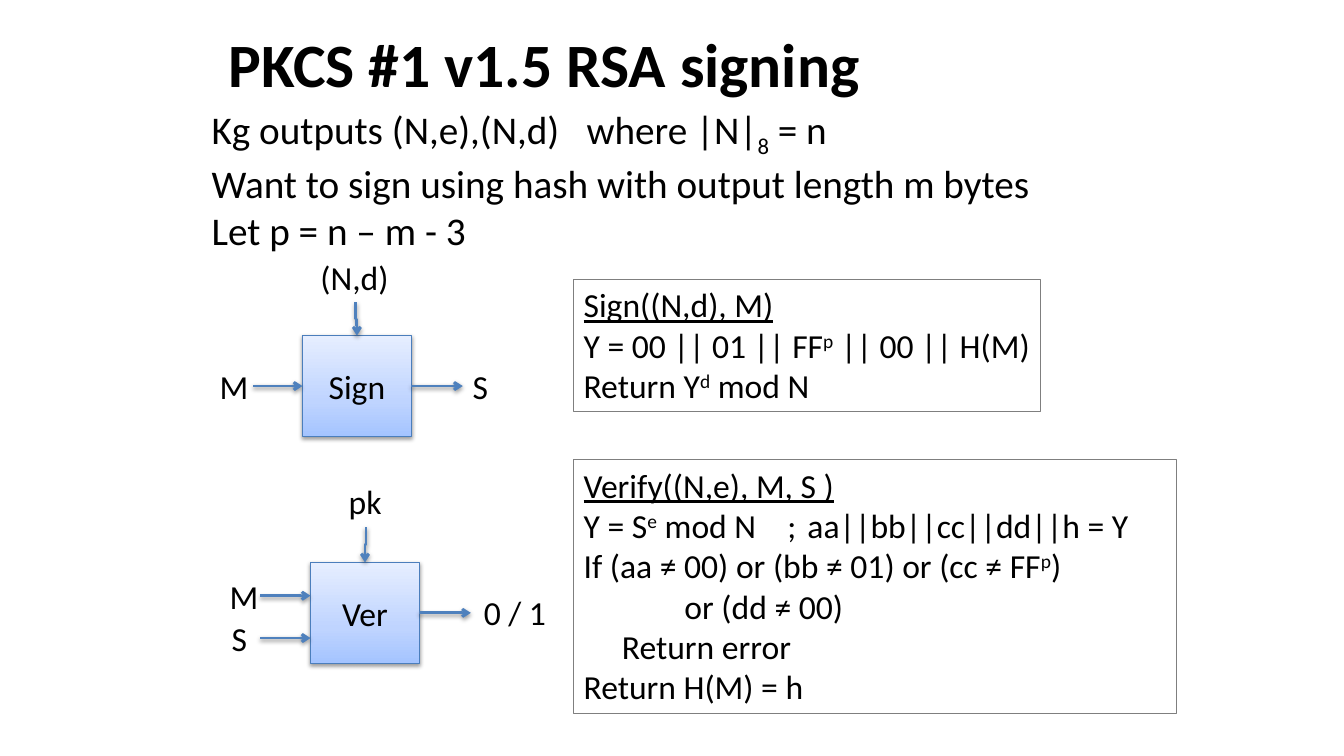
from pptx import Presentation
from pptx.dml.color import RGBColor
from pptx.enum.shapes import MSO_CONNECTOR, MSO_SHAPE
from pptx.enum.text import MSO_ANCHOR, MSO_AUTO_SIZE, PP_ALIGN
from pptx.oxml import parse_xml
from pptx.oxml.ns import nsdecls, qn
from pptx.util import Inches, Pt

STRAIGHT, ELBOW = MSO_CONNECTOR.STRAIGHT, MSO_CONNECTOR.ELBOW
RECT = MSO_SHAPE.RECTANGLE
LEFT, CENTER = PP_ALIGN.LEFT, PP_ALIGN.CENTER
TOP, MIDDLE = MSO_ANCHOR.TOP, MSO_ANCHOR.MIDDLE
GROW, FIXED = MSO_AUTO_SIZE.SHAPE_TO_FIT_TEXT, MSO_AUTO_SIZE.NONE

COLORS = {"text": "000000", "frame": "7F7F7F", "edge": "4B7EBC", "arrow": "4F81BD"}
GRADIENT = [(0, "A4C4FF"), (35, "BFD4FF"), (100, "E6EEFF")]
SUB, SUPER = -25000, 30000


def rgb(name):
    return RGBColor.from_string(COLORS[name])


def para(*runs, **layout):
    """A paragraph: strings or (text, baseline) pairs, with underline, indent, tabs."""
    return runs, layout


def write(tf, paras, size=24, bold=None, align=LEFT, anchor=TOP, wrap=True, fit=GROW):
    tf.word_wrap, tf.auto_size, tf.vertical_anchor = wrap, fit, anchor
    for i, (runs, layout) in enumerate(paras):
        p = tf.paragraphs[0] if i == 0 else tf.add_paragraph()
        p.alignment = align
        pPr = p._p.get_or_add_pPr()
        if "indent" in layout:
            pPr.set("marL", str(Inches(layout["indent"])))
            pPr.set("indent", "0")
        if "tabs" in layout:
            stops = "".join(f'<a:tab pos="{Inches(t)}" algn="l"/>' for t in layout["tabs"])
            pPr.append(parse_xml(f'<a:tabLst {nsdecls("a")}>{stops}</a:tabLst>'))
        for run in runs:
            text, baseline = (run, 0) if isinstance(run, str) else run
            r = p.add_run()
            r.text = text
            r.font.name, r.font.size, r.font.bold = "Calibri", Pt(size), bold
            r.font.color.rgb = rgb("text")
            if layout.get("underline"):
                r.font.underline = True
            if baseline:
                r._r.get_or_add_rPr().set("baseline", str(baseline))


def add_shadow(sp):
    sp._element.spPr.append(parse_xml(
        f'<a:effectLst {nsdecls("a")}><a:outerShdw blurRad="{Pt(3.1)}" dist="{Pt(1.6)}" '
        'dir="5400000" rotWithShape="0"><a:srgbClr val="000000"><a:alpha val="38000"/>'
        '</a:srgbClr></a:outerShdw></a:effectLst>'))


class Diagram:
    def __init__(self, prs):
        self.s = prs.slides.add_slide(prs.slide_layouts[5])
        self.shapes = self.s.shapes

    def title(self, text, x, y, w, h):
        sp = self.shapes.title
        sp.left, sp.top, sp.width, sp.height = map(Inches, (x, y, w, h))
        write(sp.text_frame, [para(text)], size=44, bold=True, anchor=MIDDLE, fit=FIXED)

    def text(self, paras, x, y, w, h=0.5, size=24, wrap=True):
        sp = self.shapes.add_textbox(*map(Inches, (x, y, w, h)))
        write(sp.text_frame, paras, size=size, wrap=wrap)

    def label(self, text, x, y, w):
        self.text([para(text)], x, y, w, wrap=False)

    def rect(self, x, y, w, h, line):
        sp = self.shapes.add_shape(RECT, *map(Inches, (x, y, w, h)))
        sp.line.color.rgb, sp.line.width = rgb(line), Pt(0.75)
        return sp

    def code(self, paras, x, y, w, h, wrap=True):
        sp = self.rect(x, y, w, h, "frame")
        sp.fill.background()
        sp.shadow.inherit = False
        write(sp.text_frame, paras, wrap=wrap)

    def block(self, text, x, y, w=1.08, h=1):
        sp = self.rect(x, y, w, h, "edge")
        sp.fill.gradient()
        sp.fill.gradient_angle = 90
        stops = sp._element.spPr.find(qn("a:gradFill")).find(qn("a:gsLst"))
        for gs in list(stops):
            stops.remove(gs)
        for pos, color in GRADIENT:
            stops.append(parse_xml(f'<a:gs {nsdecls("a")} pos="{pos * 1000}">'
                                   f'<a:srgbClr val="{color}"/></a:gs>'))
        add_shadow(sp)
        write(sp.text_frame, [para(text)], align=CENTER, anchor=MIDDLE, fit=FIXED)
        return sp

    def arrow(self, x1, y1, x2, y2, kind=STRAIGHT):
        sp = self.shapes.add_connector(kind, *map(Inches, (x1, y1, x2, y2)))
        sp.line.color.rgb, sp.line.width = rgb("arrow"), Pt(2)
        sp.line._get_or_add_ln().append(parse_xml(f'<a:tailEnd {nsdecls("a")} type="arrow"/>'))
        add_shadow(sp)
        return sp

    def elbow_down(self, x1, y1, x2, y2):
        # Lay the elbow out sideways about its centre, then turn it a quarter
        cx, cy, half = (x1 + x2) / 2, (y1 + y2) / 2, (y2 - y1) / 2
        sp = self.arrow(cx - half, cy + cx - x1, cx + half, cy + cx - x2, ELBOW)
        sp._element.spPr.find(qn("a:xfrm")).set("rot", "5400000")


def main():
    prs = Presentation()
    prs.slide_width, prs.slide_height = Inches(13.33), Inches(7.5)
    d = Diagram(prs)

    # Heading and setup
    d.title("PKCS #1 v1.5 RSA signing", 2.17, 0, 9, 1.25)
    d.text([para("Kg outputs (N,e),(N,d)\twhere |N|", ("8", SUB), " = n", tabs=[3.72]),
            para("Want to sign using hash with output length m bytes"),
            para("Let p = n – m - 3")], 2, 1, 8.41, 1.51, size=28)

    # Algorithms
    d.code([para("Sign((N,d), M)", underline=True),
            para("Y = 00 || 01 || FF", ("p", SUPER), " || 00 || H(M)"),
            para("Return Y", ("d", SUPER), " mod N")], 5.69, 2.77, 4.63, 1.31, wrap=False)
    d.code([para("Verify((N,e), M, S )", underline=True),
            para("Y = S", ("e", SUPER), " mod N\t;\taa||bb||cc||dd||h = Y", tabs=[2.02, 2.22]),
            para("If (aa ≠ 00) or (bb ≠ 01) or (cc ≠ FF", ("p", SUPER), ")"),
            para("or (dd ≠ 00)", indent=1),
            para("Return error", indent=0.38),
            para("Return H(M) = h")], 5.69, 4.56, 5.98, 2.52)

    # Signing diagram
    sign = d.block("Sign", 3, 3.33)
    d.label("(N,d)", 3.08, 2.5, 0.88)
    d.elbow_down(3.53, 3, 3.54, 3.33)
    d.arrow(2.51, 3.83, 3, 3.83).end_connect(sign, 1)
    d.label("M", 2.08, 3.58, 0.49)
    d.arrow(4.08, 3.83, 4.59, 3.83).begin_connect(sign, 3)
    d.label("S", 4.59, 3.58, 0.36)

    # Verification diagram
    ver = d.block("Ver", 3.08, 5.58)
    d.label("pk", 3.36, 4.72, 0.54)
    d.elbow_down(3.63, 5.23, 3.62, 5.58)
    for text, x, y, w in [("M", 2.18, 5.91, 0.49), ("S", 2.2, 6.33, 0.36)]:
        d.arrow(2.58, y, 3.08, y)
        d.label(text, x, y - 0.25, w)
    d.arrow(4.16, 6.08, 4.67, 6.08).begin_connect(ver, 3)
    d.label("0 / 1", 4.7, 5.82, 0.83)

    prs.save("out.pptx")


if __name__ == "__main__":
    main()
